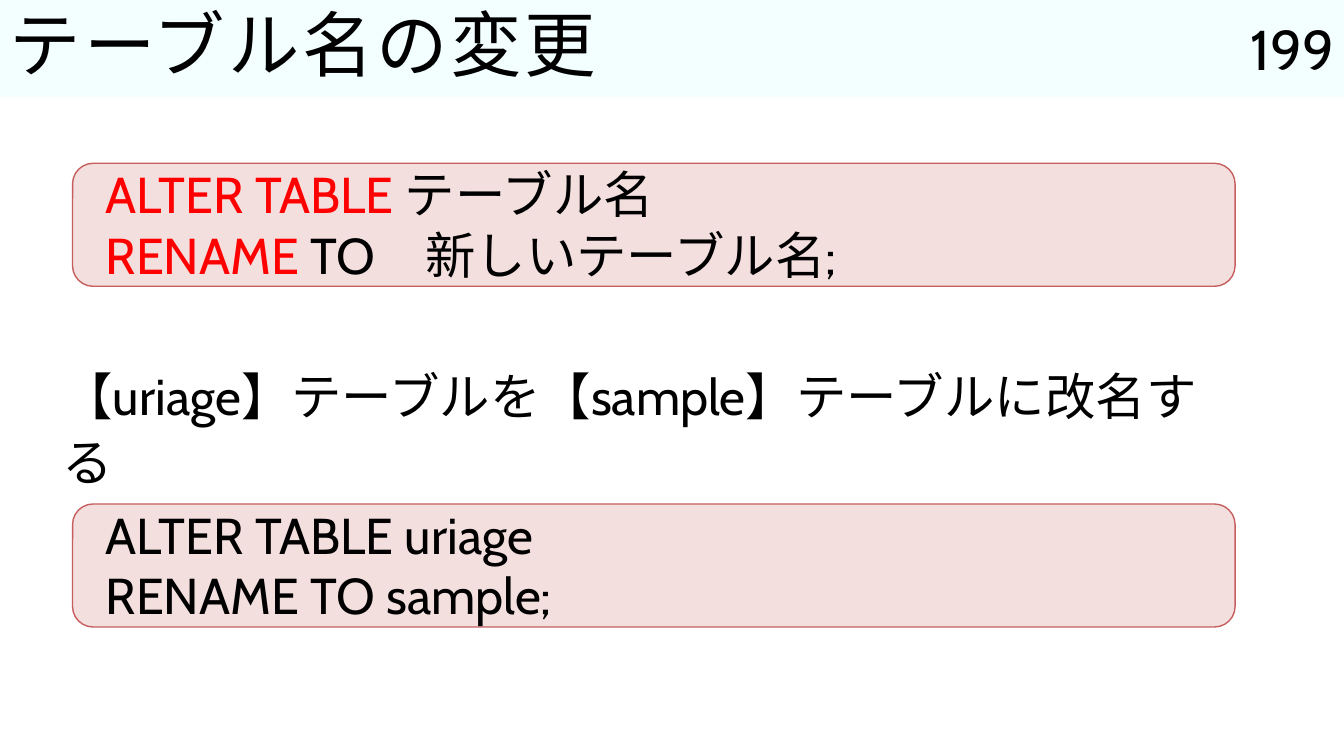
"""Build the slide on renaming a database table."""
import pptx
import pptx.dml.color
import pptx.enum.shapes
import pptx.enum.text
import pptx.util

Inches = pptx.util.Inches
Pt = pptx.util.Pt
SHAPES = pptx.enum.shapes.MSO_SHAPE
MIDDLE = pptx.enum.text.MSO_ANCHOR.MIDDLE
ALIGN = pptx.enum.text.PP_ALIGN
COLORS = {"text": "000000", "keyword": "FF0000", "banner": "F3FEFF",
          "panel": "F4DFDF", "border": "C65E5E"}


def color(name):
    return pptx.dml.color.RGBColor.from_string(COLORS[name])


def write(paragraph, pieces, size):
    for words, tone in pieces:
        run = paragraph.add_run()
        run.text = words
        run.font.name = "Cabin"
        run.font.size = Pt(size)
        run.font.color.rgb = color(tone)


deck = pptx.Presentation()
deck.slide_width = Inches(13.33)
deck.slide_height = Inches(7.5)
slide = deck.slides.add_slide(deck.slide_layouts[6])

banner = slide.shapes.add_shape(SHAPES.RECTANGLE, 0, 0, Inches(13.33), Inches(0.96))
banner.shadow.inherit = False
banner.fill.solid()
banner.fill.fore_color.rgb = color("banner")
banner.line.fill.background()
banner.text_frame.vertical_anchor = MIDDLE
title = banner.text_frame.paragraphs[0]
title.alignment = ALIGN.LEFT
title.line_spacing = 0.9
write(title, [("テーブル名の変更", "text")], 51)
title.runs[0].font._element.set("spc", "200")

page_number = slide.shapes.add_textbox(Inches(11.83), 0, Inches(1.5), Inches(0.96))
page_number.text_frame.word_wrap = True
page_number.text_frame.vertical_anchor = MIDDLE
page_number.text_frame.paragraphs[0].alignment = ALIGN.RIGHT
write(page_number.text_frame.paragraphs[0], [("199", "text")], 40)

task = slide.shapes.add_textbox(Inches(0.52), Inches(3.51), Inches(11.93), Inches(1.51))
task.text_frame.word_wrap = True
task.text_frame.paragraphs[0].line_spacing = 1.1
write(task.text_frame.paragraphs[0],
      [("【uriage】テーブルを【sample】テーブルに改名する", "text")], 36)

statements = [
    (1.62, [[("ALTER TABLE ", "keyword"), ("テーブル名", "text")],
            [("RENAME", "keyword"), (" TO　新しいテーブル名;", "text")]]),
    (5, [[("ALTER TABLE uriage", "text")],
         [("RENAME TO sample;", "text")]]),
]
for top, lines in statements:
    panel = slide.shapes.add_shape(SHAPES.ROUNDED_RECTANGLE, Inches(0.72), Inches(top),
                                   Inches(11.53), Inches(1.22))
    panel.shadow.inherit = False
    panel.fill.solid()
    panel.fill.fore_color.rgb = color("panel")
    panel.line.color.rgb = color("border")
    panel.line.width = Pt(1)

    sql = slide.shapes.add_textbox(Inches(0.95), Inches(top - 0.05),
                                   Inches(11.3), Inches(1.31)).text_frame
    sql.word_wrap = True
    for number, pieces in enumerate(lines):
        line = sql.add_paragraph() if number else sql.paragraphs[0]
        write(line, pieces, 36)

deck.save("out.pptx")
